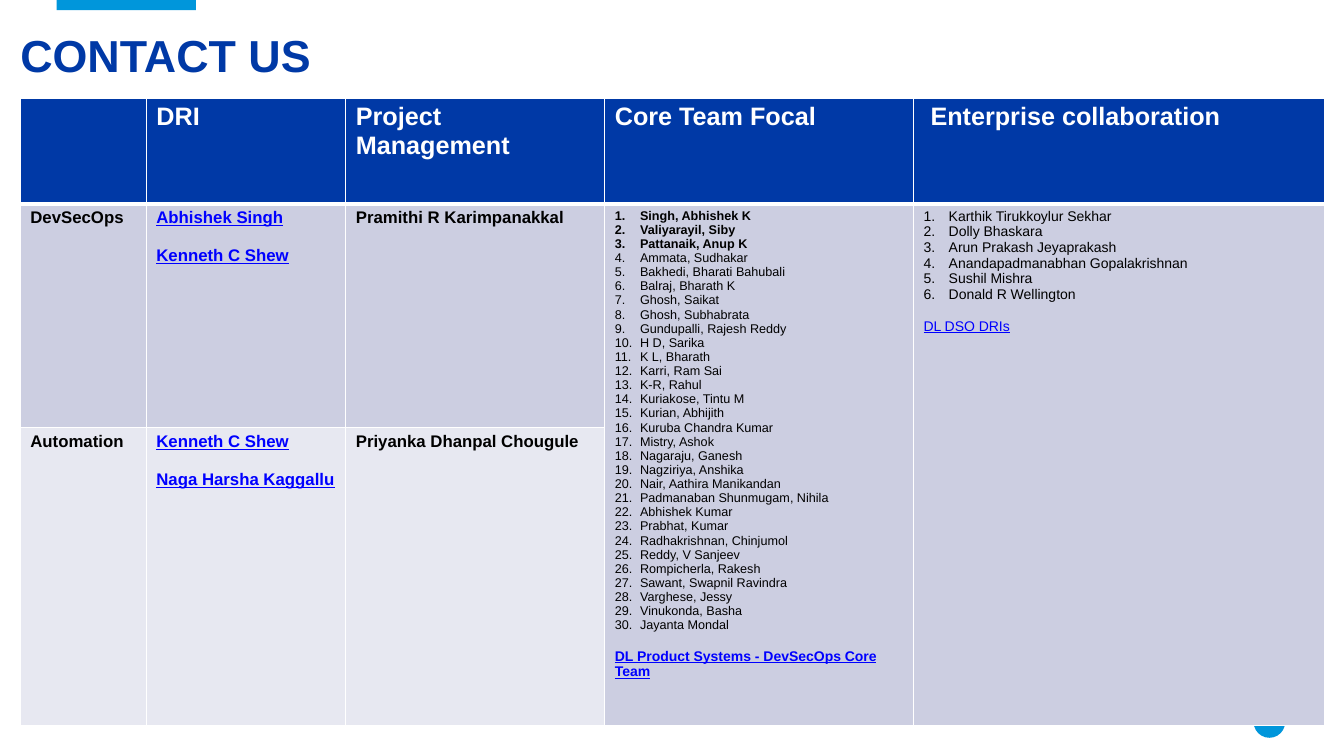
"""Build a slide with a table of team contacts."""
from lxml.etree import SubElement
from pptx import Presentation
from pptx.dml.color import RGBColor
from pptx.enum.shapes import MSO_SHAPE
from pptx.enum.text import MSO_ANCHOR
from pptx.oxml.ns import qn
from pptx.util import Pt

NAVY = RGBColor(0x00, 0x39, 0xA6)
SKY = RGBColor(0x00, 0x96, 0xDB)
WHITE = RGBColor(0xFF, 0xFF, 0xFF)
BLACK = RGBColor(0x00, 0x00, 0x00)
LINK = RGBColor(0x00, 0x00, 0xFF)
MID = RGBColor(0xCC, 0xCE, 0xE1)
PALE = RGBColor(0xE7, 0xE8, 0xF1)

WIDTHS = [90, 142.5, 185, 220.5, 293.5]
HEIGHTS = [75.5, 160, 212.5]
HEADS = ["", "DRI", "Project Management", "Core Team Focal", "Enterprise collaboration"]
TEAMS = [
    ("DevSecOps", ["Abhishek Singh", "Kenneth C Shew"], "Pramithi R Karimpanakkal", MID),
    ("Automation", ["Kenneth C Shew", "Naga Harsha Kaggallu"], "Priyanka Dhanpal Chougule", PALE),
]
LEADS = 3
CORE = [
    "Singh, Abhishek K", "Valiyarayil, Siby", "Pattanaik, Anup K",
    "Ammata, Sudhakar", "Bakhedi, Bharati Bahubali", "Balraj, Bharath K",
    "Ghosh, Saikat", "Ghosh, Subhabrata", "Gundupalli, Rajesh Reddy",
    "H D, Sarika", "K L, Bharath", "Karri, Ram Sai", "K-R, Rahul",
    "Kuriakose, Tintu M", "Kurian, Abhijith", "Kuruba Chandra Kumar",
    "Mistry, Ashok", "Nagaraju, Ganesh", "Nagziriya, Anshika",
    "Nair, Aathira Manikandan", "Padmanaban Shunmugam, Nihila",
    "Abhishek Kumar", "Prabhat, Kumar", "Radhakrishnan, Chinjumol",
    "Reddy, V Sanjeev", "Rompicherla, Rakesh", "Sawant, Swapnil Ravindra",
    "Varghese, Jessy", "Vinukonda, Basha", "Jayanta Mondal",
]
PARTNERS = [
    "Karthik Tirukkoylur Sekhar", "Dolly Bhaskara", "Arun Prakash Jeyaprakash",
    "Anandapadmanabhan Gopalakrishnan", "Sushil Mishra", "Donald R Wellington",
]


def style(para, size, color, bold=True, line=False):
    """Format every run of a paragraph."""
    for run in para.runs:
        font = run.font
        font.name, font.size = "Arial", Pt(size)
        font.bold, font.underline = bold, line
        font.color.rgb = color


def number(para):
    """Give a paragraph a number and a hanging indent."""
    props = para._p.get_or_add_pPr()
    props.set("marL", str(Pt(18)))
    props.set("indent", str(Pt(-18)))
    SubElement(props, qn("a:buAutoNum"), type="arabicPeriod")


def paint(cell, color, base=1):
    """Fill a cell and draw its white borders."""
    props = cell._tc.get_or_add_tcPr()
    for side, width in [("L", 1), ("R", 1), ("T", 1), ("B", base)]:
        edge = SubElement(props, qn(f"a:ln{side}"), w=str(Pt(width)))
        fill = SubElement(edge, qn("a:solidFill"))
        SubElement(fill, qn("a:srgbClr"), val=str(WHITE))
    cell.fill.solid()
    cell.fill.fore_color.rgb = color


def roster(cell, names, size, leads, mail, bold):
    """Write numbered names with a mailing list below them."""
    cell.text_frame.text = "\n".join(names + [mail])
    *people, last = cell.text_frame.paragraphs
    for i, para in enumerate(people):
        number(para)
        style(para, size, BLACK, bold=i < leads)
    last.space_before = Pt(11.5)
    style(last, 10, LINK, bold=bold, line=True)


def accent(slide, kind, left, top, width, height):
    """Place one plain accent shape in the given box."""
    shape = slide.shapes.add_shape(kind, Pt(left), Pt(top), Pt(width), Pt(height))
    shape.shadow.inherit = False
    shape.fill.solid()
    shape.fill.fore_color.rgb = SKY
    shape.line.fill.background()


def title(slide, left, top, width, height):
    """Write the heading at the bottom of the given box."""
    frame = slide.shapes.add_textbox(Pt(left), Pt(top), Pt(width), Pt(height)).text_frame
    frame.margin_left = frame.margin_right = frame.margin_top = frame.margin_bottom = 0
    frame.word_wrap = True
    frame.vertical_anchor = MSO_ANCHOR.BOTTOM
    frame.text = "CONTACT US"
    style(frame.paragraphs[0], 32, NAVY)


def contacts(slide, left, top):
    """Draw the contact table from its top left corner."""
    table = slide.shapes.add_table(
        len(HEIGHTS), len(WIDTHS), Pt(left), Pt(top), Pt(sum(WIDTHS)), Pt(sum(HEIGHTS))
    ).table
    for col, width in zip(table.columns, WIDTHS):
        col.width = Pt(width)
    for row, height in zip(table.rows, HEIGHTS):
        row.height = Pt(height)
    for c, head in enumerate(HEADS):
        cell = table.cell(0, c)
        paint(cell, NAVY, base=3)
        cell.text_frame.text = head
        style(cell.text_frame.paragraphs[0], 18, WHITE)
    table.cell(0, 4).margin_left = Pt(12.2)
    for r, (team, owners, lead, color) in enumerate(TEAMS, 1):
        for c, lines in enumerate([[team], owners, [lead]]):
            cell = table.cell(r, c)
            paint(cell, color)
            cell.text_frame.text = "\n".join(lines)
            for i, para in enumerate(cell.text_frame.paragraphs):
                if i:
                    para.space_before = Pt(13.5)
                style(para, 12, LINK if c == 1 else BLACK, line=c == 1)
        for c in (3, 4):
            paint(table.cell(r, c), MID)
    for c in (3, 4):
        table.cell(1, c).merge(table.cell(2, c))
    roster(table.cell(1, 3), CORE, 9, LEADS, "DL Product Systems - DevSecOps Core Team", True)
    roster(table.cell(1, 4), PARTNERS, 10, 0, "DL DSO DRIs", False)


def main():
    """Build and save the slide."""
    deck = Presentation()
    deck.slide_width, deck.slide_height = Pt(960), Pt(540)
    slide = deck.slides.add_slide(deck.slide_layouts[6])
    accent(slide, MSO_SHAPE.RECTANGLE, 40.5, 0, 99.5, 7.2)
    accent(slide, MSO_SHAPE.OVAL, 895.5, 504.5, 22.5, 22.5)
    title(slide, 14.5, 15, 878, 43)
    contacts(slide, 14.5, 70)
    deck.save("out.pptx")


if __name__ == "__main__":
    main()
